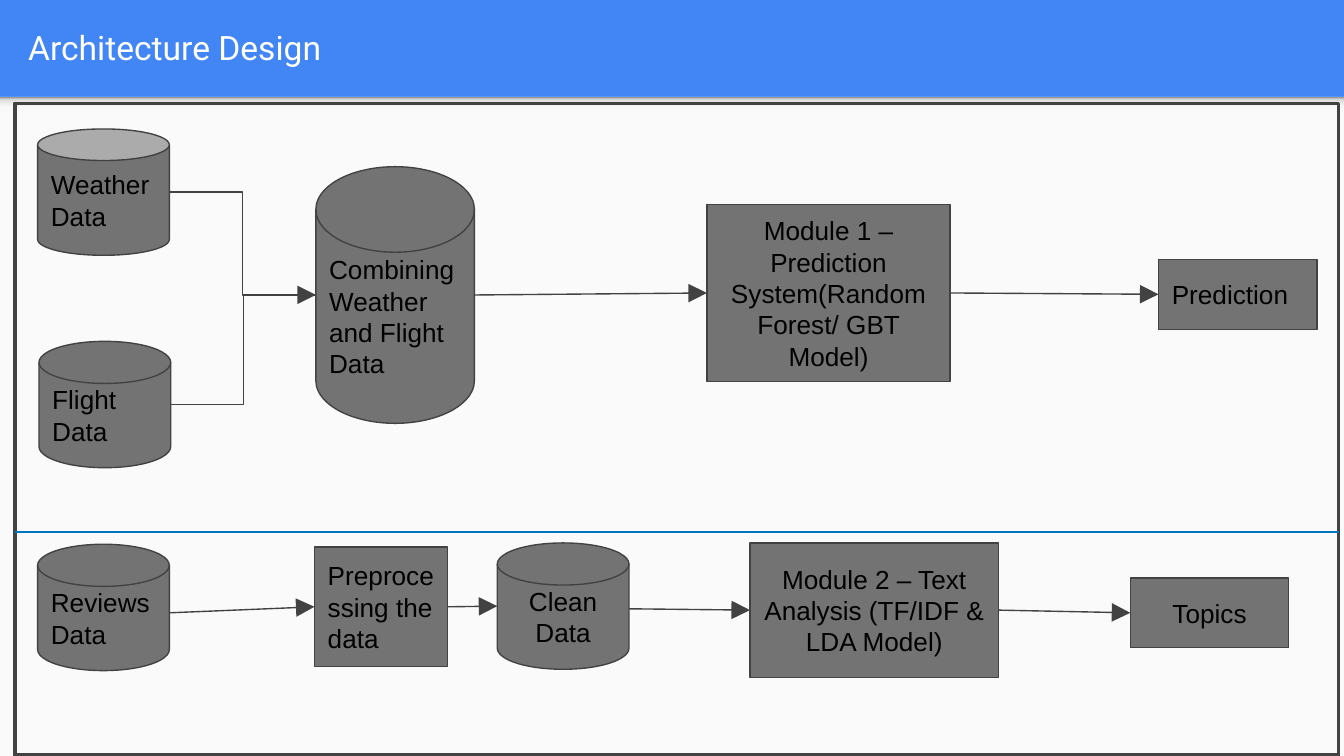
from lxml import etree
from pptx import Presentation, util as u
from pptx.dml.color import RGBColor
from pptx.enum import shapes, text
from pptx.oxml.ns import qn

COLORS = {"header": "4285F4", "panel": "FAFAFA", "node": "737373", "edge": "424242",
          "divider": "0075BB", "title": "FFFFFF", "text": "000000"}
SHADE = [(0, "F9F9F9"), (36, "F9F9F9"), (80, "DEDEDE"), (100, "999999")]
W, H = 10, 5.625
HEADER_H = 0.72
FRAME = (0.11, 0.77, 9.85, 4.85)
DIVIDER_Y = 3.96

KINDS = {"can": shapes.MSO_SHAPE.CAN,
         "disk": shapes.MSO_SHAPE.FLOWCHART_MAGNETIC_DISK,
         "box": shapes.MSO_SHAPE.RECTANGLE}
LEFT, CENTER = text.PP_ALIGN.LEFT, text.PP_ALIGN.CENTER
STORE = (0.98, 0.94)
RESULT = (1.18, 0.52)
NODES = {
    "weather": ("Weather Data", "can", (0.28, 0.96), STORE, LEFT),
    "flight": ("Flight Data", "disk", (0.29, 2.54), STORE, LEFT),
    "combined": ("Combining Weather and Flight Data", "disk", (2.35, 1.24), (1.18, 1.91), LEFT),
    "module1": ("Module 1 – Prediction System(Random Forest/ GBT Model)", "box",
                (5.26, 1.52), (1.81, 1.32), CENTER),
    "prediction": ("Prediction", "box", (8.62, 1.93), RESULT, LEFT),
    "reviews": ("Reviews\vData", "disk", (0.28, 4.05), STORE, LEFT),
    "preprocess": ("Preprocessing the data", "box", (2.34, 4.07), (0.99, 0.89), LEFT),
    "clean": ("Clean Data", "disk", (3.7, 4.04), STORE, CENTER),
    "module2": ("Module 2 – Text Analysis (TF/IDF & LDA Model)", "box",
                (5.58, 4.04), (1.85, 1), CENTER),
    "topics": ("Topics", "box", (8.41, 4.3), RESULT, CENTER),
}
LINKS = [
    ("weather", "combined", "ELBOW", False, 0),
    ("flight", "combined", "ELBOW", True, 0),
    ("combined", "module1", "STRAIGHT", True, 0),
    ("module1", "prediction", "STRAIGHT", True, 0),
    ("reviews", "preprocess", "STRAIGHT", True, 0.04),
    ("preprocess", "clean", "STRAIGHT", True, 0),
    ("clean", "module2", "STRAIGHT", True, 0.02),
    ("module2", "topics", "STRAIGHT", True, 0),
]


def rgb(name):
    return RGBColor.from_string(COLORS[name])


def add_shape(s, kind, box, fill=None, edge=None, width=0.75):
    sp = s.shapes.add_shape(KINDS[kind], *map(u.Inches, box))
    sp.shadow.inherit = False
    if fill:
        sp.fill.solid()
        sp.fill.fore_color.rgb = rgb(fill)
    else:
        sp.fill.background()
    if edge:
        sp.line.color.rgb = rgb(edge)
        sp.line.width = u.Pt(width)
    else:
        sp.line.fill.background()
    return sp


def write(sp, words, size, font, color, align):
    tf = sp.text_frame
    tf.text = words
    margins = dict.fromkeys(["margin_left", "margin_top", "margin_right", "margin_bottom"],
                            u.Inches(0.1))
    frame = {"word_wrap": True, "auto_size": text.MSO_AUTO_SIZE.NONE,
             "vertical_anchor": text.MSO_ANCHOR.MIDDLE, **margins}
    for name, value in frame.items():
        setattr(tf, name, value)
    p = tf.paragraphs[0]
    p.alignment = align
    for r in p.runs:
        r.font.size, r.font.name = u.Pt(size), font
        r.font.color.rgb = rgb(color)


def shade(sp):
    sp.fill.gradient()
    grad = sp.fill._xPr.find(qn("a:gradFill"))
    stops = grad.find(qn("a:gsLst"))
    for gs in list(stops):
        stops.remove(gs)
    for pos, color in SHADE:
        gs = etree.SubElement(stops, qn("a:gs"), pos=str(pos * 1000))
        etree.SubElement(gs, qn("a:srgbClr"), val=color)
    grad.find(qn("a:lin")).set("ang", str(270 * 60000))


def add_line(s, kind, start, end, color, arrow=False):
    c = s.shapes.add_connector(getattr(shapes.MSO_CONNECTOR, kind),
                               *map(u.Inches, (*start, *end)))
    c.line.color.rgb = rgb(color)
    c.line.width = u.Pt(0.75)
    if arrow:
        etree.SubElement(c.line._get_or_add_ln(), qn("a:tailEnd"),
                         type="triangle", w="lg", len="lg")
    etree.SubElement(c._element.spPr, qn("a:effectLst"))
    return c


def side(node, right, drop=0):
    _, _, (x, y), (w, h), _ = NODES[node]
    return x + w * right, y + h / 2 + drop


def main():
    prs = Presentation()
    prs.slide_width, prs.slide_height = u.Inches(W), u.Inches(H)
    s = prs.slides.add_slide(prs.slide_layouts[5])
    s.background.fill.solid()
    s.background.fill.fore_color.rgb = rgb("header")

    title = s.shapes.title
    title.left, title.top, title.width, title.height = map(u.Inches, (0.11, 0.02, 9.65, 0.66))
    write(title, "Architecture Design", 18, "Roboto", "title", LEFT)

    add_shape(s, "box", (0, HEADER_H, W, H - HEADER_H), "panel")
    shade(add_shape(s, "box", (0, HEADER_H, W, 0.12)))

    drawn = {}
    for name, (words, kind, at, size, align) in NODES.items():
        drawn[name] = add_shape(s, kind, (*at, *size), "node", "edge")
        write(drawn[name], words, 14, "Arial", "text", align)

    for a, b, kind, arrow, drop in LINKS:
        c = add_line(s, kind, side(a, True, drop), side(b, False), "edge", arrow)
        if NODES[a][1] == "box":
            c.begin_connect(drawn[a], 3)
        if NODES[b][1] == "box":
            c.end_connect(drawn[b], 1)

    add_shape(s, "box", FRAME, edge="edge", width=2)
    add_line(s, "STRAIGHT", (FRAME[0], DIVIDER_Y), (FRAME[0] + FRAME[2], DIVIDER_Y), "divider")
    prs.save("out.pptx")


if __name__ == "__main__":
    main()
